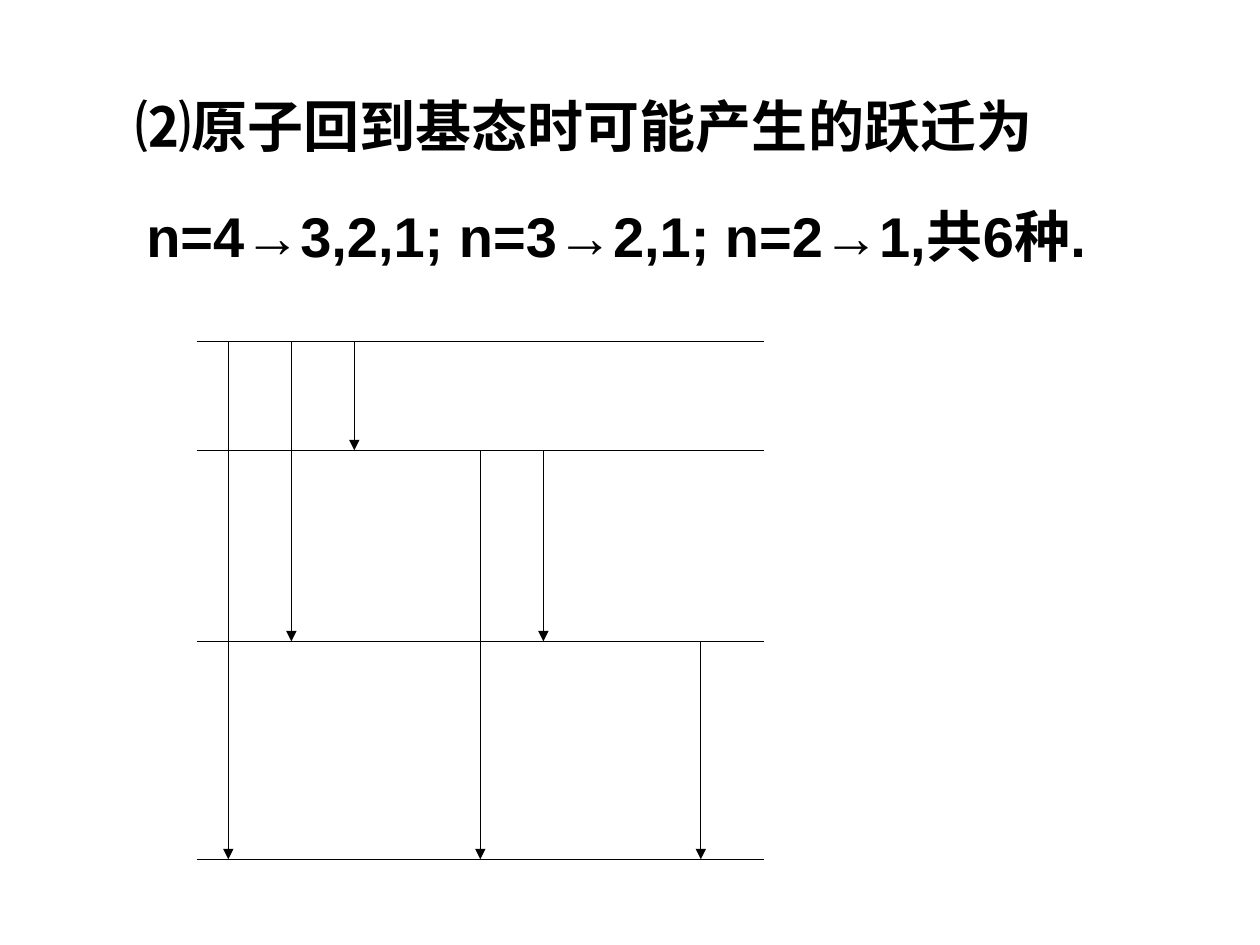
import pptx
import pptx.dml.color
import pptx.enum.shapes
import pptx.enum.text
import pptx.oxml.ns
import pptx.util
from lxml import etree

Pt = pptx.util.Pt
qn = pptx.oxml.ns.qn


def color(hex_string):
    return pptx.dml.color.RGBColor.from_string(hex_string)


def add_line(group, x1, y1, x2, y2, arrow=False):
    line = group.shapes.add_connector(
        pptx.enum.shapes.MSO_CONNECTOR.STRAIGHT, Pt(x1), Pt(y1), Pt(x2), Pt(y2))
    line.line.color.rgb = color("000000")
    line.line.width = Pt(0.75)
    if arrow:
        etree.SubElement(line.line._get_or_add_ln(), qn("a:tailEnd"), type="triangle")
    etree.SubElement(line._element.spPr, qn("a:effectLst"))


presentation = pptx.Presentation()
presentation.slide_width = Pt(720)
presentation.slide_height = Pt(540)
slide = presentation.slides.add_slide(presentation.slide_layouts[6])

# Statement and list of transitions
statements = [
    (70.5, 49, "⑵原子回到基态时可能产生的跃迁为"),
    (76.5, 111.6, "n=4→3,2,1; n=3→2,1; n=2→1,共6种."),
]
for left, top, wording in statements:
    statement = slide.shapes.add_textbox(Pt(left), Pt(top), Pt(550), Pt(45.5))
    frame = statement.text_frame
    frame.word_wrap = True
    frame.vertical_anchor = pptx.enum.text.MSO_ANCHOR.MIDDLE
    paragraph = frame.paragraphs[0]
    paragraph.text = wording
    paragraph.font.name = "Arial"
    paragraph.font.size = Pt(32)
    paragraph.font.bold = True
    paragraph.font.color.rgb = color("000000")

# Energy levels: quantum number n -> height on the slide
level_y = {4: 195, 3: 257.25, 2: 366.5, 1: 491}
level_left, level_right = 112.5, 436.5
diagram = slide.shapes.add_group_shape()
for y in level_y.values():
    add_line(diagram, level_left, y, level_right, y)

# Transitions: x position, upper level, lower level
transitions = [
    (130.5, 4, 1), (166.5, 4, 2), (202.5, 4, 3),
    (274.5, 3, 1), (310.5, 3, 2),
    (400.5, 2, 1),
]
for x, upper, lower in transitions:
    add_line(diagram, x, level_y[upper], x, level_y[lower], arrow=True)

presentation.save("out.pptx")
